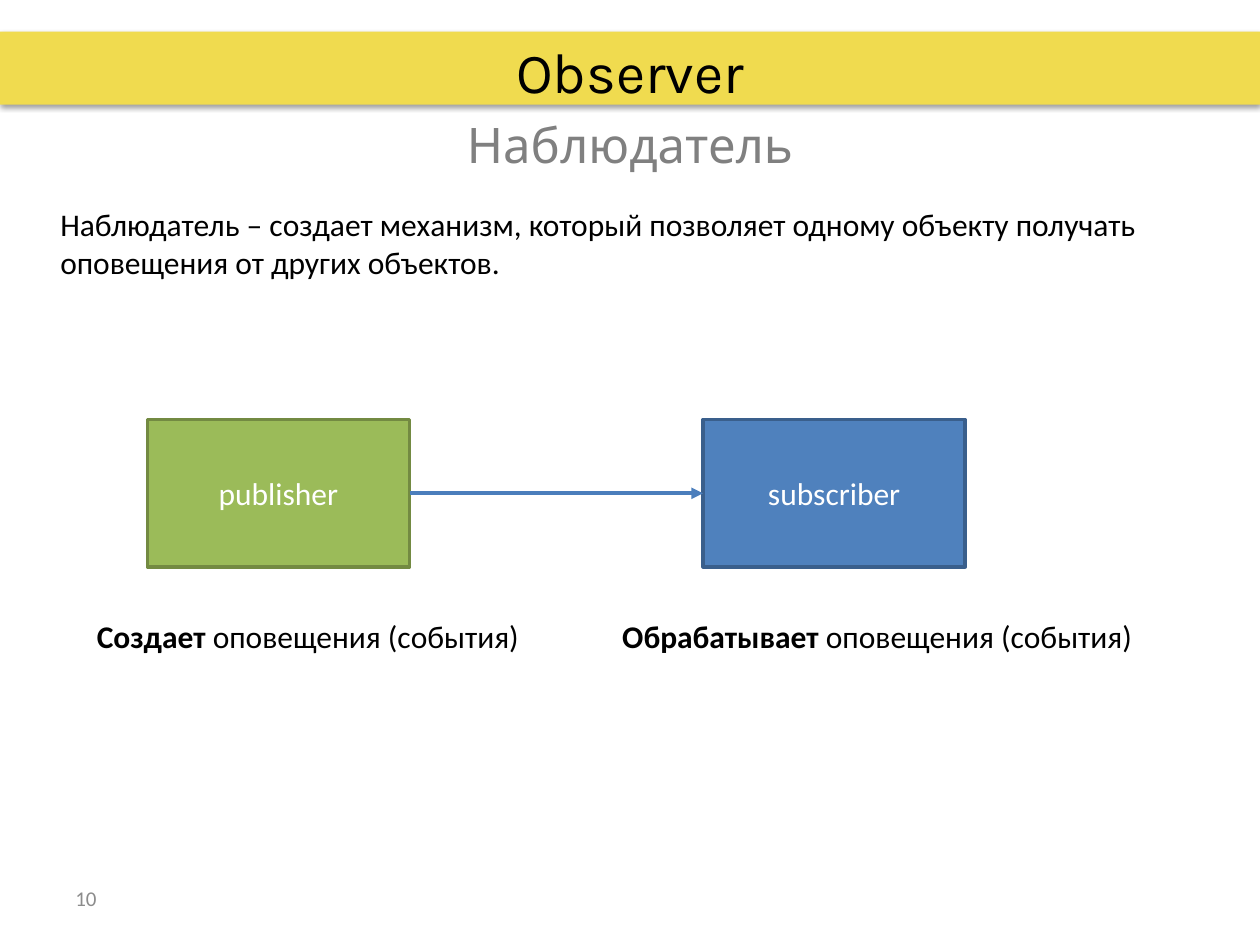
from dataclasses import dataclass

from lxml.etree import SubElement
from pptx import Presentation
from pptx.dml.color import RGBColor
from pptx.enum.shapes import MSO_CONNECTOR, MSO_SHAPE
from pptx.enum.text import MSO_ANCHOR, MSO_AUTO_SIZE, PP_ALIGN
from pptx.oxml.ns import qn
from pptx.shapes.autoshape import Shape
from pptx.slide import Slide
from pptx.text.text import TextFrame
from pptx.util import Inches, Pt

BOX_TOP, BOX_WIDTH, BOX_HEIGHT = 3.33, 2.08, 1.17
CAPTION_TOP, CAPTION_HEIGHT = 4.85, 0.4


@dataclass(frozen=True)
class TextStyle:
    size: float = 18
    color: str = "000000"
    font: str = "Calibri"
    align: PP_ALIGN = PP_ALIGN.LEFT
    anchor: MSO_ANCHOR = MSO_ANCHOR.TOP


@dataclass(frozen=True)
class TextBlock:
    left: float
    top: float
    width: float
    height: float
    text: str
    style: TextStyle = TextStyle()


@dataclass(frozen=True)
class Role:
    """One side of the pattern: its box and the caption below it."""
    name: str
    left: float
    fill: str
    outline: str
    caption_left: float
    caption_width: float
    action: str


TITLE = TextStyle(32.4, "000000", "Karla", PP_ALIGN.CENTER, MSO_ANCHOR.MIDDLE)
SUBTITLE = TextStyle(28, "808080", "Karla", PP_ALIGN.CENTER, MSO_ANCHOR.MIDDLE)
PAGE_NUMBER = TextStyle(12, "8C8C8C", anchor=MSO_ANCHOR.MIDDLE)
BOX_LABEL = TextStyle(color="FFFFFF", align=PP_ALIGN.CENTER, anchor=MSO_ANCHOR.MIDDLE)

TEXT_BLOCKS = [
    TextBlock(0.5, 6.93, 2.33, 0.4, "10", PAGE_NUMBER),
    TextBlock(0.5, 0.25, 9, 0.62, "Observer", TITLE),
    TextBlock(0.5, 0.83, 9, 0.62, "Наблюдатель", SUBTITLE),
    TextBlock(0.38, 1.58, 9.25, 5,
              "Наблюдатель – создает механизм, который позволяет одному объекту "
              "получать оповещения от других объектов."),
]
PUBLISHER = Role("publisher", 1.17, "9BBB59", "738A42", 0.67, 3.58, "Создает")
SUBSCRIBER = Role("subscriber", 5.58, "4F81BD", "3A5F8C", 4.84, 4.26, "Обрабатывает")


def rgb(value: str) -> RGBColor:
    return RGBColor.from_string(value)


def write(frame: TextFrame, style: TextStyle, *runs: tuple[str, bool]) -> None:
    """Fill the first paragraph with (text, bold) runs."""
    frame.vertical_anchor = style.anchor
    paragraph = frame.paragraphs[0]
    paragraph.alignment = style.align
    for text, bold in runs:
        run = paragraph.add_run()
        run.text = text
        run.font.name = style.font
        run.font.size = Pt(style.size)
        run.font.bold = bold
        run.font.color.rgb = rgb(style.color)


def add_text_frame(slide: Slide, left: float, top: float, width: float,
                   height: float, wrap: bool = True) -> TextFrame:
    frame = slide.shapes.add_textbox(
        Inches(left), Inches(top), Inches(width), Inches(height)).text_frame
    frame.word_wrap = wrap
    return frame


def add_rectangle(slide: Slide, left: float, top: float, width: float,
                  height: float, fill: str) -> Shape:
    shape = slide.shapes.add_shape(
        MSO_SHAPE.RECTANGLE, Inches(left), Inches(top), Inches(width), Inches(height))
    shape.shadow.inherit = False
    shape.fill.solid()
    shape.fill.fore_color.rgb = rgb(fill)
    return shape


def add_title_band(slide: Slide) -> None:
    band = add_rectangle(slide, 0, 0.25, 10, 0.58, "F0DB4F")
    band.line.fill.background()
    effects = band._element.spPr.find(qn("a:effectLst"))
    shadow = SubElement(effects, qn("a:outerShdw"), blurRad=str(Pt(3.1)),
                        dist=str(Pt(1.6)), dir="5400000", rotWithShape="0")
    color = SubElement(shadow, qn("a:srgbClr"), val="000000")
    SubElement(color, qn("a:alpha"), val="38000")


def add_role(slide: Slide, role: Role) -> Shape:
    box = add_rectangle(slide, role.left, BOX_TOP, BOX_WIDTH, BOX_HEIGHT, role.fill)
    box.line.color.rgb = rgb(role.outline)
    box.line.width = Pt(2)
    write(box.text_frame, BOX_LABEL, (role.name, False))
    caption = add_text_frame(slide, role.caption_left, CAPTION_TOP,
                             role.caption_width, CAPTION_HEIGHT, wrap=False)
    caption.auto_size = MSO_AUTO_SIZE.SHAPE_TO_FIT_TEXT
    write(caption, TextStyle(), (role.action, True), (" оповещения (события)", False))
    return box


def add_arrow(slide: Slide, source: Shape, target: Shape) -> None:
    """Join the right side of source to the left side of target."""
    arrow = slide.shapes.add_connector(MSO_CONNECTOR.STRAIGHT, 0, 0, 0, 0)
    arrow.begin_connect(source, 3)
    arrow.end_connect(target, 1)
    arrow.line.color.rgb = rgb("4B7EBC")
    arrow.line.width = Pt(2.25)
    SubElement(arrow.line._get_or_add_ln(), qn("a:tailEnd"), type="triangle")
    SubElement(arrow._element.spPr, qn("a:effectLst"))


def main() -> None:
    presentation = Presentation()
    presentation.slide_width = Inches(10)
    presentation.slide_height = Inches(7.5)
    slide = presentation.slides.add_slide(presentation.slide_layouts[6])
    add_title_band(slide)
    for block in TEXT_BLOCKS:
        frame = add_text_frame(slide, block.left, block.top, block.width, block.height)
        write(frame, block.style, (block.text, False))
    publisher = add_role(slide, PUBLISHER)
    subscriber = add_role(slide, SUBSCRIBER)
    add_arrow(slide, publisher, subscriber)
    presentation.save("out.pptx")


if __name__ == "__main__":
    main()
